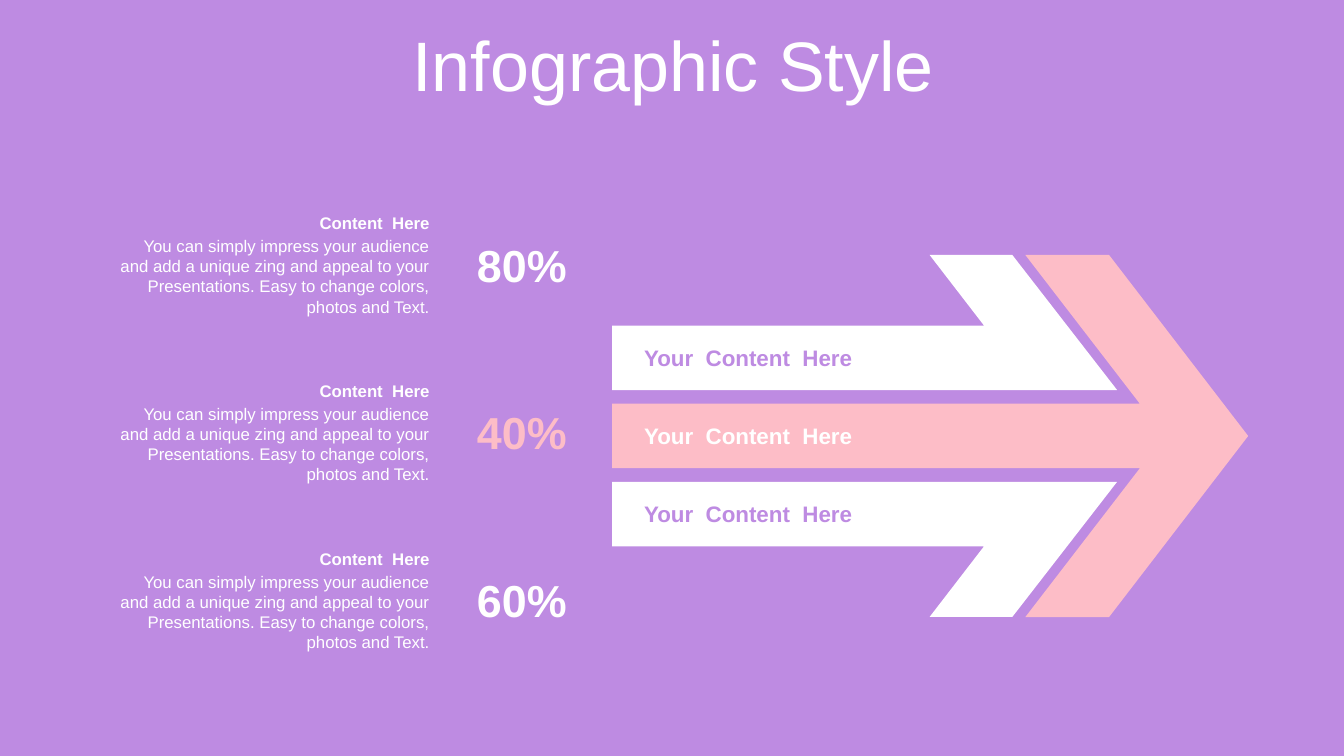
from pptx import Presentation
from pptx import util as u
from pptx.dml.color import RGBColor
from pptx.enum import text

PURPLE = RGBColor(0xBE, 0x8B, 0xE2)
PINK = RGBColor(0xFD, 0xBD, 0xC7)
WHITE = RGBColor(0xFF, 0xFF, 0xFF)
LEFT, CENTER, RIGHT = text.PP_ALIGN.LEFT, text.PP_ALIGN.CENTER, text.PP_ALIGN.RIGHT
TOP, MIDDLE = text.MSO_ANCHOR.TOP, text.MSO_ANCHOR.MIDDLE

presentation = Presentation()
presentation.slide_width = u.Inches(13.33)
presentation.slide_height = u.Inches(7.5)
column = presentation.slide_width / 100
row = presentation.slide_height / 100

slide = presentation.slides.add_slide(presentation.slide_layouts[5])
slide.background.fill.solid()
slide.background.fill.fore_color.rgb = PURPLE


def write(shape, words, size, color, bold=False, align=LEFT, anchor=MIDDLE):
    frame = shape.text_frame
    frame.text = words
    frame.word_wrap = True
    frame.auto_size = text.MSO_AUTO_SIZE.NONE
    frame.vertical_anchor = anchor
    paragraph = frame.paragraphs[0]
    paragraph.alignment = align
    font = paragraph.runs[0].font
    for name, value in {"name": "Arial", "size": u.Pt(size), "bold": bold}.items():
        setattr(font, name, value)
    font.color.rgb = color
    return paragraph


def place(left, top, width, height):
    return [round(value) for value in (left * column, top * row, width * column, height * row)]


title = slide.shapes.title
title.left, title.top, title.width, title.height = place(2.63, 4.13, 94.97, 10.53)
write(title, "Infographic Style", 50, WHITE, align=CENTER).line_spacing = 0.8

AXIS = 57.67
WING, BAND = 23.95, 4.27
head = [(76.29, -WING), (82.52, -WING), (92.87, 0), (82.52, WING), (76.29, WING),
        (84.81, BAND), (45.54, BAND), (45.54, -BAND), (84.81, -BAND)]
wing = [(69.17, -WING), (75.32, -WING), (83.12, -6.07), (45.54, -6.07),
        (45.54, -14.6), (73.22, -14.6)]
mirrored_wing = [(x, -y) for x, y in wing]

for outline, color in ((head, PINK), (wing, WHITE), (mirrored_wing, WHITE)):
    points = [(x * column, (AXIS + y) * row) for x, y in outline]
    builder = slide.shapes.build_freeform(*points[0])
    builder.add_line_segments(points[1:], close=True)
    arrow = builder.convert_to_shape()
    arrow.shadow.inherit = False
    arrow.fill.solid()
    arrow.fill.fore_color.rgb = color
    arrow.line.fill.background()

for index, color in enumerate((PURPLE, WHITE, PURPLE)):
    label = slide.shapes.add_textbox(*place(47.19, 44.8 + 10.33 * index, 23.93, 4.93))
    write(label, "Your  Content  Here", 16, color, bold=True)

DESCRIPTION = ("You can simply impress your audience and add a unique zing and appeal "
               "to your Presentations. Easy to change colors, photos and Text.")

for index, (share, color) in enumerate((("80%", WHITE), ("40%", PINK), ("60%", WHITE))):
    offset = 22.2 * index
    percentage = slide.shapes.add_textbox(*place(33.46, 30.67 + offset, 10.73, 8.53))
    write(percentage, share, 32, color, bold=True, align=CENTER)
    heading = slide.shapes.add_textbox(*place(7.73, 27.47 + offset, 24.98, 4))
    write(heading, "Content  Here", 12, WHITE, bold=True, align=RIGHT)
    description = slide.shapes.add_textbox(*place(7.8, 30.53 + offset, 24.91, 12.13))
    write(description, DESCRIPTION, 12, WHITE, align=RIGHT, anchor=TOP)

presentation.save("out.pptx")
